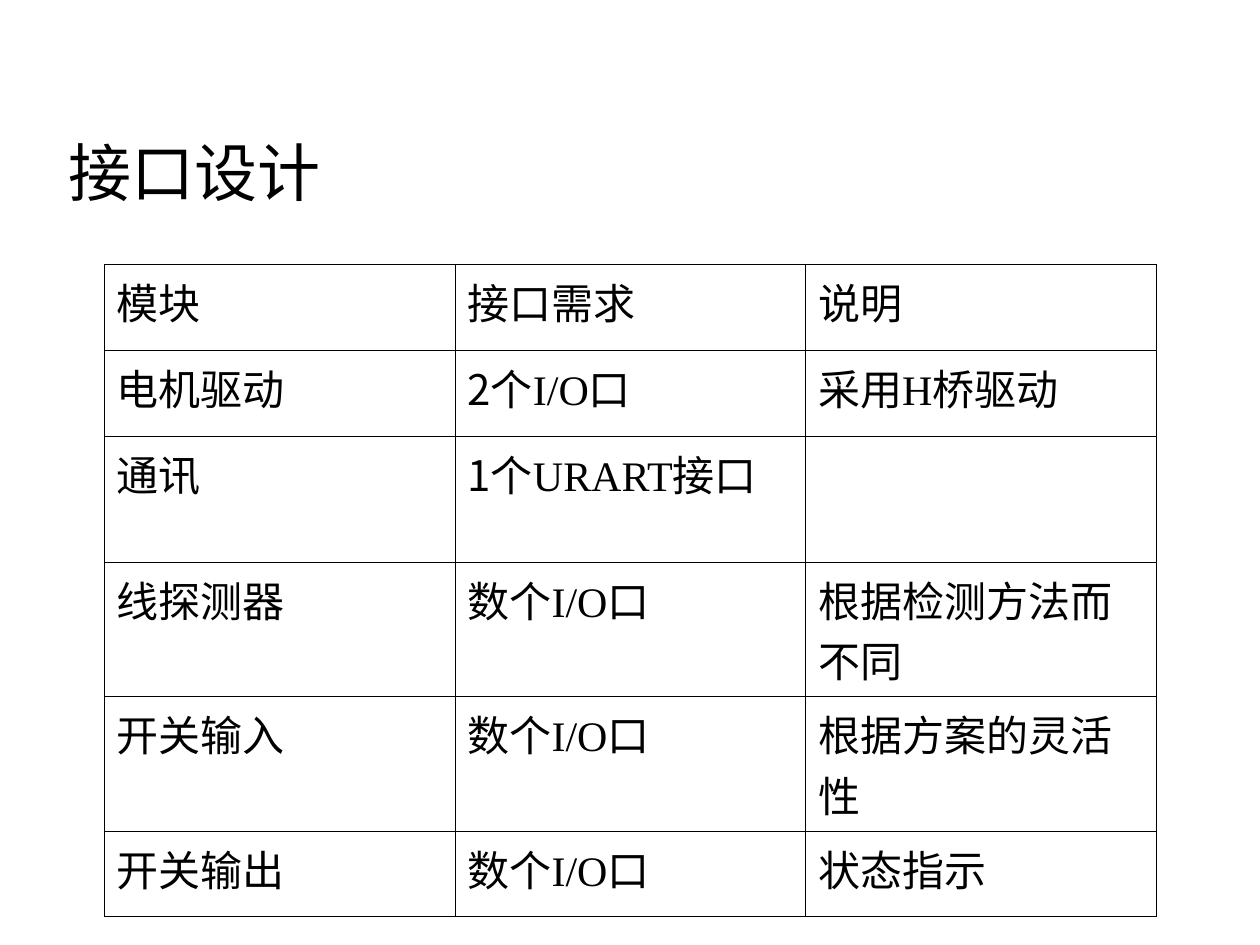
"""Build the interface design slide with its requirements table."""
from dataclasses import dataclass
from itertools import groupby

from lxml import etree
from pptx import Presentation
from pptx.dml.color import RGBColor
from pptx.enum import text as txt
from pptx.oxml import ns
from pptx.util import Pt

BLACK = "000000"
CJK = "Noto Sans CJK SC"
LATIN = "Times New Roman"


@dataclass(frozen=True)
class Interface:
    module: str
    need: str
    note: str
    height: float


INTERFACES = [
    Interface("模块", "接口需求", "说明", 49),
    Interface("电机驱动", "2个I/O口", "采用H桥驱动", 49),
    Interface("通讯", "1个URART接口", "", 72),
    Interface("线探测器", "数个I/O口", "根据检测方法而不同", 64.5),
    Interface("开关输入", "数个I/O口", "根据方案的灵活性", 64.5),
    Interface("开关输出", "数个I/O口", "状态指示", 48.5),
]


def color(value: str) -> RGBColor:
    return RGBColor.from_string(value)


def is_latin(char: str) -> bool:
    return char == "/" or (char.isascii() and char.isalpha())


def write(frame, content: str, *, size: float, font: str = CJK,
          fill: str = BLACK, before: float = 0) -> None:
    paragraph = frame.paragraphs[0]
    paragraph.alignment = txt.PP_ALIGN.LEFT
    paragraph.space_before = Pt(before)
    for latin, chars in groupby(content, is_latin):
        run = paragraph.add_run()
        run.text = "".join(chars)
        run.font.size = Pt(size)
        run.font.name = LATIN if latin else font
        run.font.color.rgb = color(fill)
        east_asian = etree.SubElement(run.font._element, ns.qn("a:ea"))
        east_asian.set("typeface", CJK)


def outline(cell, *, width: float, stroke: str = BLACK) -> None:
    properties = cell._tc.get_or_add_tcPr()
    for side in ("L", "R", "T", "B"):
        border = etree.SubElement(properties, ns.qn(f"a:ln{side}"), w=str(Pt(width)))
        solid = etree.SubElement(border, ns.qn("a:solidFill"))
        etree.SubElement(solid, ns.qn("a:srgbClr"), val=stroke)


def add_title(slide, content: str) -> None:
    title = slide.shapes.title
    title.left, title.top, title.width, title.height = Pt(31.7), Pt(61.2), Pt(646.6), Pt(73.4)
    title.text_frame.vertical_anchor = txt.MSO_ANCHOR.MIDDLE
    write(title.text_frame, content, size=36, font="League Spartan")


def add_interfaces(slide, interfaces: list[Interface]) -> None:
    height = sum(interface.height for interface in interfaces)
    table = slide.shapes.add_table(
        len(interfaces), 3, Pt(59.6), Pt(151.2), Pt(601.2), Pt(height)).table
    table.first_row = table.horz_banding = False
    for row, interface in zip(table.rows, interfaces):
        row.height = Pt(interface.height)
        entries = (interface.module, interface.need, interface.note)
        for cell, entry in zip(row.cells, entries):
            outline(cell, width=0.23)
            cell.fill.background()
            write(cell.text_frame, entry, size=24, before=6)


def main() -> None:
    deck = Presentation()
    deck.slide_width, deck.slide_height = Pt(720), Pt(540)
    slide = deck.slides.add_slide(deck.slide_layouts[5])
    add_title(slide, "接口设计")
    add_interfaces(slide, INTERFACES)
    deck.save("out.pptx")


if __name__ == "__main__":
    main()
